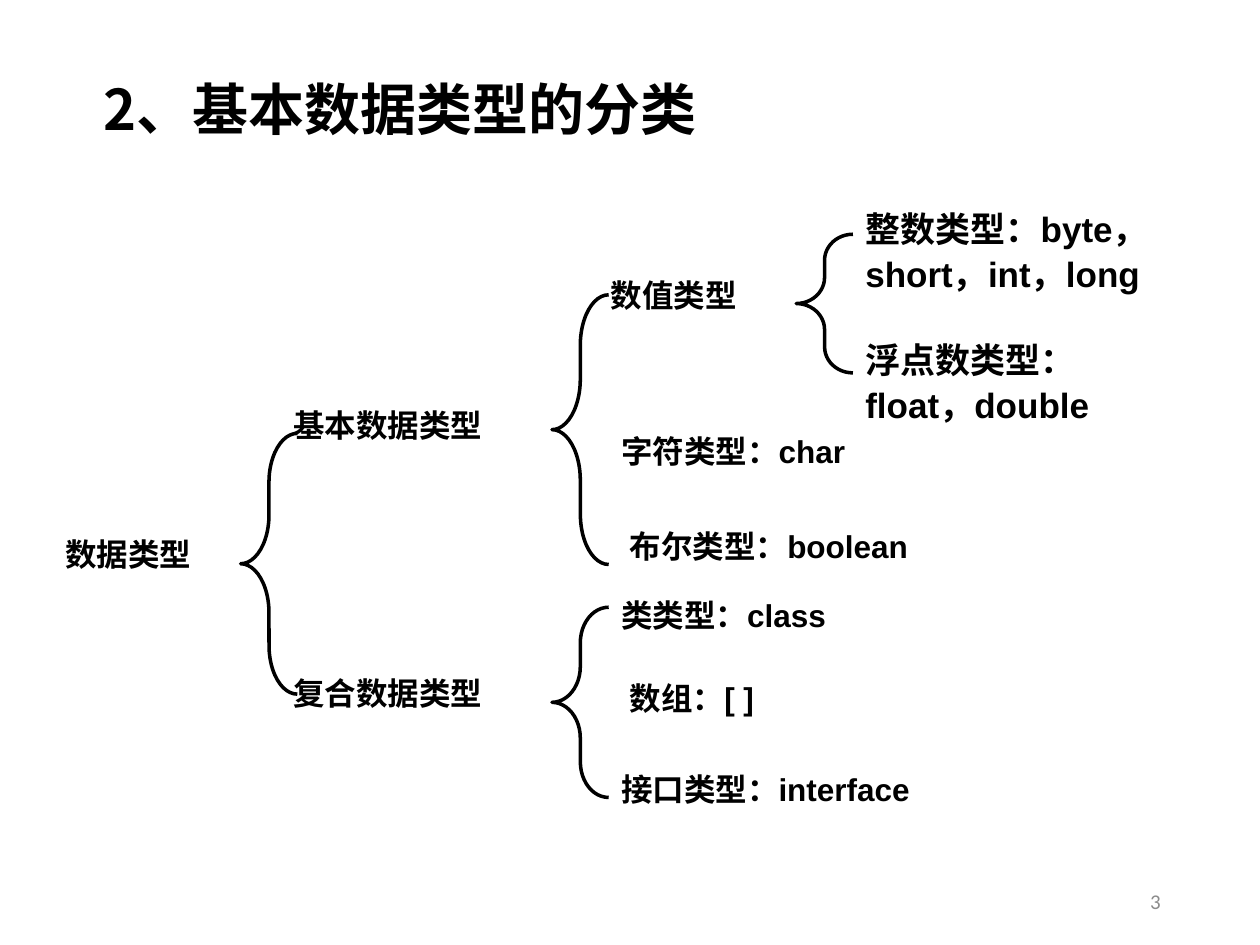
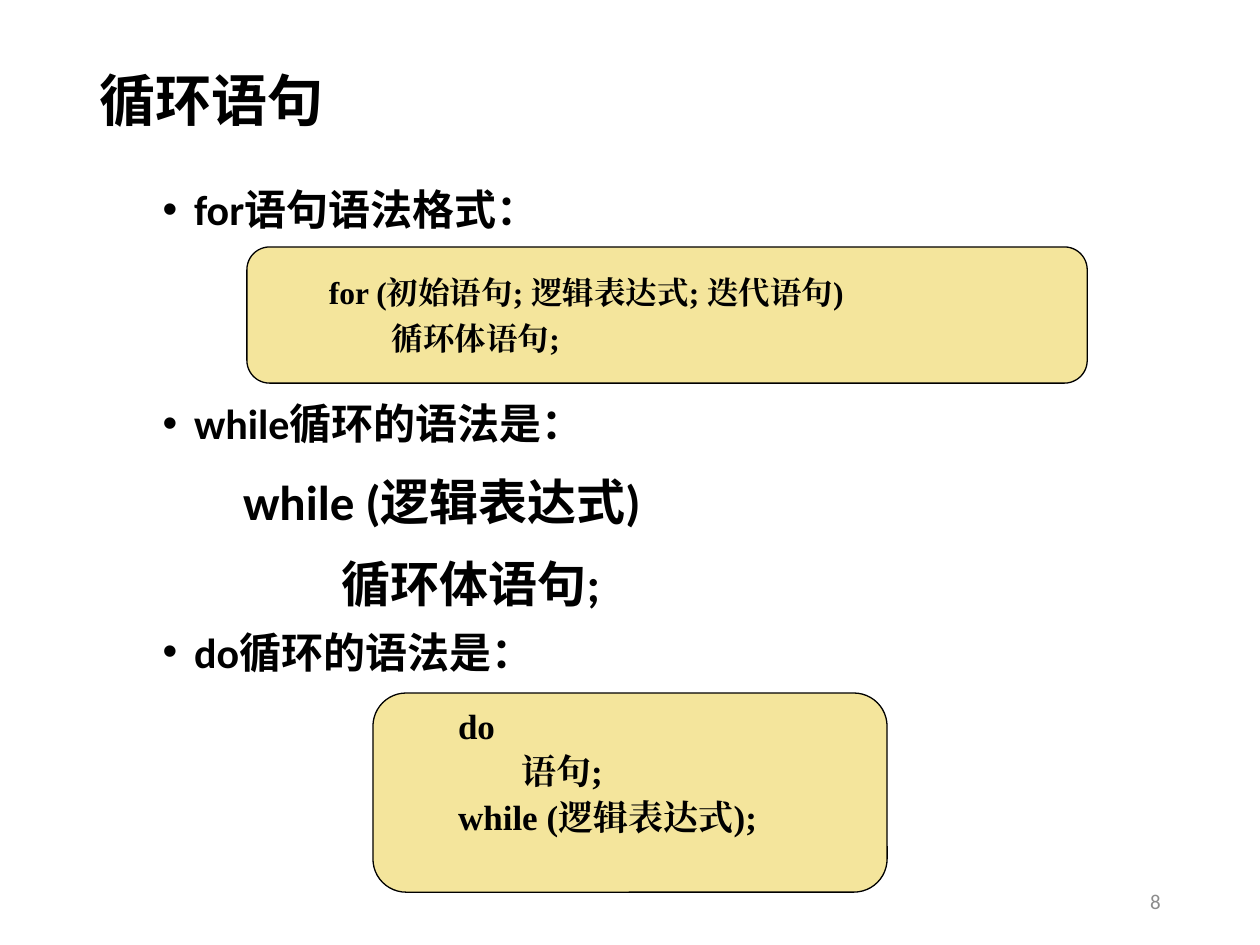
from lxml.etree import SubElement
from pptx import Presentation
from pptx.dml.color import RGBColor
from pptx.enum.shapes import MSO_SHAPE
from pptx.enum.text import MSO_ANCHOR, MSO_AUTO_SIZE, PP_ALIGN
from pptx.oxml.ns import qn
from pptx.util import Pt

BLACK, GREY, SAND = "000000", "8C8C8C", "F4E59C"
CJK_FONT = "Noto Sans CJK SC"


def color(hex_string):
    return RGBColor.from_string(hex_string)


def write(paragraph, text, size, font, hex_string=BLACK, bold=True, spacing=1.0, before=0):
    """Fill a paragraph and format its run, with one font for Latin and Chinese."""
    paragraph.text = text
    paragraph.line_spacing = spacing
    paragraph.space_before = Pt(before)
    run = paragraph.runs[0]
    run.font.size = Pt(size)
    run.font.bold = bold
    run.font.color.rgb = color(hex_string)
    run.font.name = font
    SubElement(run.font._element, qn("a:ea")).set("typeface", font)


presentation = Presentation()
presentation.slide_width, presentation.slide_height = Pt(720), Pt(540)

# Shared frame: title and page number
pages = [
    ("2、基本数据类型的分类", CJK_FONT, 5, "3", (51.8, 43.2, 494, 41.8)),
    ("循环语句", "Calibri", 1, "8", (49.7, 28.8, 620.6, 60.5)),
]
slides = []
for heading, font, layout, number, box in pages:
    slide = presentation.slides.add_slide(presentation.slide_layouts[layout])
    slides.append(slide)
    title = slide.shapes.title
    title.left, title.top, title.width, title.height = [Pt(length) for length in box]
    title.text_frame.auto_size = MSO_AUTO_SIZE.NONE
    title.text_frame.vertical_anchor = MSO_ANCHOR.MIDDLE
    write(title.text_frame.paragraphs[0], heading, 32, font, spacing=0.9)
    title.text_frame.paragraphs[0].alignment = PP_ALIGN.LEFT

    page_number = slide.shapes.add_textbox(Pt(508.3), Pt(500.4), Pt(162), Pt(28.8))
    page_number.text_frame.word_wrap = True
    page_number.text_frame.vertical_anchor = MSO_ANCHOR.MIDDLE
    write(page_number.text_frame.paragraphs[0], number, 12, "Calibri", GREY, bold=False)
    page_number.text_frame.paragraphs[0].alignment = PP_ALIGN.RIGHT

type_slide, loop_slide = slides

# Type tree: braces as left, top, height
BRACE_WIDTH = 32.4
braces = [
    (137.5, 247.7, 149),
    (315.4, 168.5, 154.1),
    (315.4, 347, 108.7),
    (455, 133.9, 79.2),
]
for left, top, height in braces:
    brace = type_slide.shapes.add_shape(
        MSO_SHAPE.LEFT_BRACE, Pt(left), Pt(top), Pt(BRACE_WIDTH), Pt(height))
    brace.shadow.inherit = False
    brace.adjustments[0] = 0.1875 * height / BRACE_WIDTH
    brace.fill.background()
    brace.line.color.rgb = color(BLACK)
    brace.line.width = Pt(2)

# Type tree: labels as text, left, top, width, height, size, line spacing
labels = [
    ("数据类型", 30.2, 302.4, 118.8, 29.5, 18, 1.0),
    ("基本数据类型", 160.6, 228.2, 172, 29.5, 18, 1.0),
    ("复合数据类型", 160.6, 381.6, 167, 29.5, 18, 1.0),
    ("数值类型", 342, 154.1, 118.8, 29.5, 18, 1.0),
    ("字符类型：char", 347.8, 243.4, 215.3, 29.5, 18, 1.0),
    ("布尔类型：boolean", 352.8, 297.4, 247.7, 29.5, 18, 1.0),
    ("类类型：class", 347.8, 337, 216.7, 41, 18, 1.0),
    ("数组：[ ]", 352.8, 384.5, 118.8, 29.5, 18, 1.0),
    ("接口类型：interface", 347.8, 436.3, 263.5, 29.5, 18, 1.0),
    ("整数类型：byte，short，int，long", 487.4, 113.8, 182.9, 53.3, 20, 1.06),
    ("浮点数类型：float，double", 487.4, 188.6, 182.9, 53.3, 20, 1.06),
]
for text, left, top, width, height, size, spacing in labels:
    label = type_slide.shapes.add_textbox(Pt(left), Pt(top), Pt(width), Pt(height))
    label.text_frame.word_wrap = True
    write(label.text_frame.paragraphs[0], text, size, "Arial", spacing=spacing)

# Loop list: text, size, indent, line spacing, space before, bullet
body = loop_slide.placeholders[1]
body.left, body.top, body.width, body.height = Pt(49.7), Pt(104.4), Pt(612), Pt(333.4)
body.text_frame.auto_size = MSO_AUTO_SIZE.NONE
items = [
    ("for语句语法格式：", 24, 54, 0.9, 0, True),
    ("while循环的语法是：", 24, 54, 1.1, 90.5, True),
    ("while (逻辑表达式)", 28, 82, 1.1, 10, False),
    ("循环体语句;", 28, 138.5, 1.1, 10, False),
    ("do循环的语法是：", 24, 54, 1.1, 5, True),
]
for index, (text, size, indent, spacing, before, bulleted) in enumerate(items):
    frame = body.text_frame
    paragraph = frame.add_paragraph() if index else frame.paragraphs[0]
    write(paragraph, text, size, "Calibri", spacing=spacing, before=before)
    properties = paragraph._p.get_or_add_pPr()
    properties.set("marL", str(Pt(indent)))
    properties.set("indent", str(Pt(-18 if bulleted else 0)))
    if bulleted:
        SubElement(properties, qn("a:buFont")).set("typeface", "Arial")
        SubElement(properties, qn("a:buChar")).set("char", "•")
    else:
        SubElement(properties, qn("a:buNone"))

# Code boxes: lines carry their nesting depth
code_boxes = [
    ((141.1, 141.1, 480.2, 77.8), 18, 1.0, MSO_ANCHOR.MIDDLE,
     [("for (初始语句; 逻辑表达式; 迭代语句)", 1), ("循环体语句;", 2)]),
    ((213.1, 396, 293.8, 113.8), 20, 0.9, MSO_ANCHOR.TOP,
     [("do", 1), ("语句;", 2), ("while (逻辑表达式);", 1)]),
]
for box, size, spacing, anchor, lines in code_boxes:
    code_box = loop_slide.shapes.add_shape(
        MSO_SHAPE.FLOWCHART_ALTERNATE_PROCESS, *[Pt(length) for length in box])
    code_box.shadow.inherit = False
    code_box.fill.solid()
    code_box.fill.fore_color.rgb = color(SAND)
    code_box.line.color.rgb = color(BLACK)
    code_box.line.width = Pt(0.75)
    frame = code_box.text_frame
    frame.word_wrap = True
    frame.vertical_anchor = anchor
    for index, (text, depth) in enumerate(lines):
        paragraph = frame.add_paragraph() if index else frame.paragraphs[0]
        write(paragraph, text, size, "Times New Roman", spacing=spacing,
              before=4.5 if index else 0)
        paragraph.alignment = PP_ALIGN.LEFT
        paragraph._p.get_or_add_pPr().set("marL", str(Pt(36 * depth)))

presentation.save("out.pptx")
